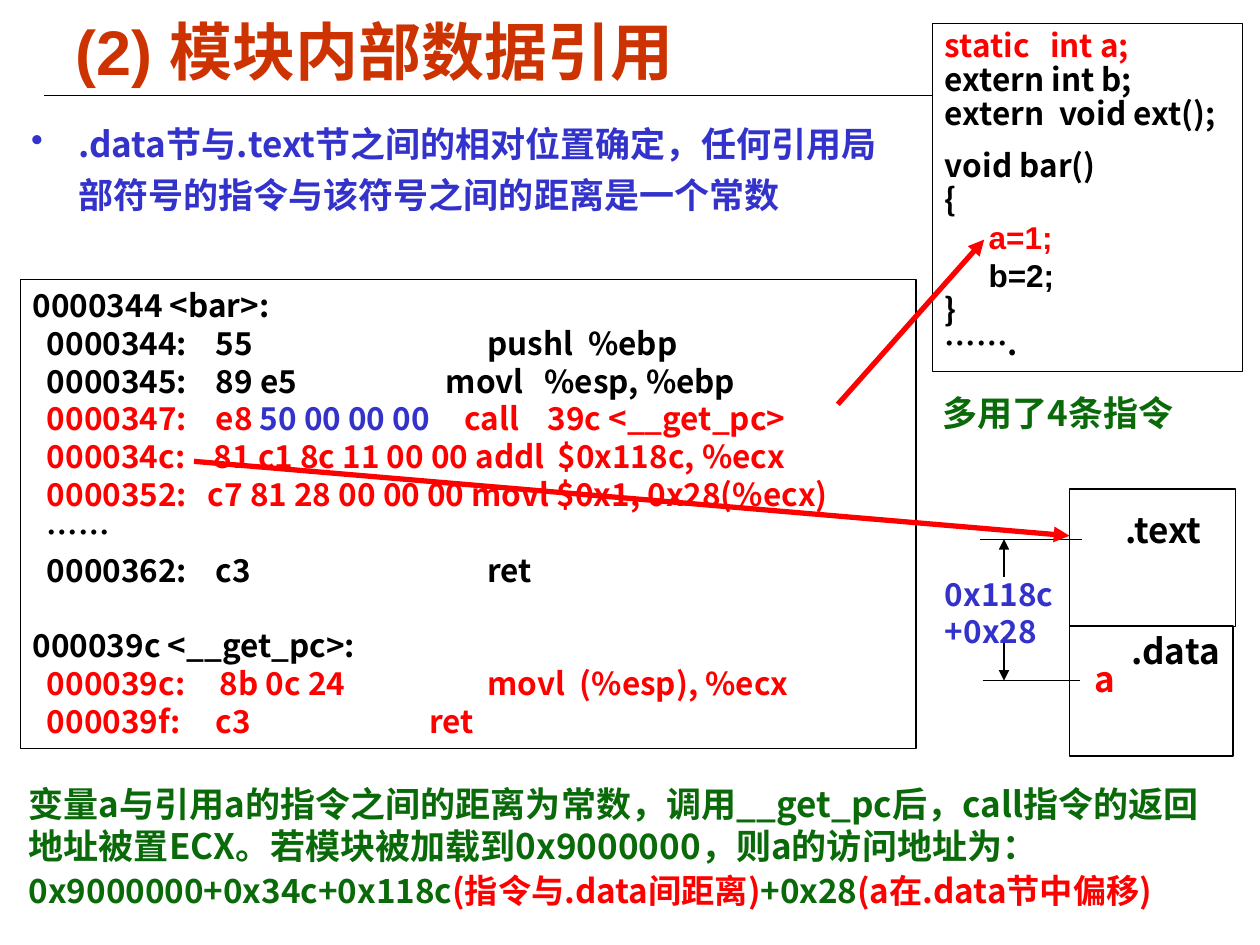
from lxml import etree
from pptx import Presentation
from pptx.dml.color import RGBColor
from pptx.enum import shapes, text
from pptx.oxml import ns
from pptx.util import Cm, Pt

BLACK = RGBColor(0, 0, 0)
WHITE = RGBColor(255, 255, 255)
RED = RGBColor(255, 0, 0)
BLUE = RGBColor(0x33, 0x33, 0xCC)
GREEN = RGBColor(0x0A, 0x6A, 0x0A)
RUST = RGBColor(0xCC, 0x33, 0x00)
SANS = "Noto Sans CJK SC"
ARIAL = "Arial"


def add(node, tag, **attrs):
    """Append a DrawingML element to a node."""
    return etree.SubElement(node, ns.qn(tag), attrs)


def style(run, color, size, font):
    """Format one run in bold for Latin and Chinese text."""
    run.font.name = font
    run.font.size = Pt(size)
    run.font.bold = True
    run.font.color.rgb = color
    add(run.font._element, "a:ea", typeface=SANS)


def write(para, runs, size, font=SANS, stops=()):
    """Fill a paragraph with (words, color) runs and tab stops in cm."""
    if stops:
        tabs = add(para._p.get_or_add_pPr(), "a:tabLst")
        for stop in stops:
            add(tabs, "a:tab", pos=str(int(Cm(stop))), algn="l")
    para.alignment = text.PP_ALIGN.LEFT
    for words, color in runs:
        run = para.add_run()
        run.text = words
        style(run, color, size, font)


def paras(frame, count):
    """Return the given number of paragraphs of a frame."""
    return [frame.paragraphs[0]] + [frame.add_paragraph() for _ in range(count - 1)]


def label(slide, x, y, w, h, rows, size, font=SANS):
    """Place a wrapped text box with one list of runs per paragraph."""
    frame = slide.shapes.add_textbox(Cm(x), Cm(y), Cm(w), Cm(h)).text_frame
    frame.word_wrap = True
    for para, runs in zip(paras(frame, len(rows)), rows):
        write(para, runs, size, font)
    return frame


def panel(slide, x, y, w, h, fill=WHITE):
    """Place a thin black rectangle and return its text frame."""
    box = slide.shapes.add_shape(shapes.MSO_SHAPE.RECTANGLE, Cm(x), Cm(y), Cm(w), Cm(h))
    box.shadow.inherit = False
    if fill is None:
        box.fill.background()
    else:
        box.fill.solid()
        box.fill.fore_color.rgb = fill
    box.line.color.rgb = BLACK
    box.line.width = Pt(0.75)
    frame = box.text_frame
    frame.word_wrap = True
    frame.vertical_anchor = text.MSO_ANCHOR.TOP
    return frame


def line(slide, x1, y1, x2, y2, color=BLACK, width=0.75, arrow=False):
    """Draw a straight line, with an arrowhead at its end if asked."""
    link = slide.shapes.add_connector(
        shapes.MSO_CONNECTOR.STRAIGHT, Cm(x1), Cm(y1), Cm(x2), Cm(y2))
    link.line.color.rgb = color
    link.line.width = Pt(width)
    if arrow:
        add(link.line._get_or_add_ln(), "a:tailEnd", type="triangle")
    add(link._element.spPr, "a:effectLst")


def header(slide, x, y, w, h):
    """Draw the title and its rule."""
    line(slide, x - 0.38, y + 1.7, x + w + 0.38, y + 1.7)
    frame = label(slide, x, y, w, h, [[("(2) 模块内部数据引用", RUST)]], 36, ARIAL)
    frame.vertical_anchor = text.MSO_ANCHOR.MIDDLE


def point(slide, x, y, w, h):
    """Draw the bulleted statement."""
    frame = label(slide, x, y, w, h, [], 20)
    para = frame.paragraphs[0]
    props = para._p.get_or_add_pPr()
    props.set("marL", str(int(Cm(0.95))))
    props.set("indent", str(int(Cm(-0.95))))
    add(props, "a:buChar", char="•")
    words = ".data节与.text节之间的相对位置确定，任何引用局部符号的指令与该符号之间的距离是一个常数"
    write(para, [(words, BLUE)], 20)
    para.line_spacing = 1.2


def source(slide, x, y, w, h):
    """Draw the C source panel."""
    rows = [
        ("static\tint a;", RED, SANS, [2.12]),
        ("extern int b;", BLACK, SANS, []),
        ("extern\tvoid ext();", BLACK, SANS, [2.3]),
        ("void bar()", BLACK, SANS, []),
        ("{", BLACK, SANS, []),
        ("     a=1;", RED, ARIAL, []),
        ("     b=2;", BLACK, ARIAL, []),
        ("}", BLACK, SANS, []),
        ("…….", BLACK, SANS, []),
    ]
    frame = panel(slide, x, y, w, h)
    for para, (words, color, font, stops) in zip(paras(frame, len(rows)), rows):
        write(para, [(words, color)], 18, font, stops)
        if font == SANS:
            para.line_spacing = 0.9
        if words.startswith("void"):
            para.space_before = Pt(10.5)


def listing(slide, x, y, w, h):
    """Draw the disassembly panel."""
    rows = [
        ([], [("0000344 <bar>:", BLACK)]),
        ([3.69, 9.17, 11.2], [("  0000344:\t55\tpushl\t%ebp", BLACK)]),
        ([3.69, 8.33, 10.32], [("  0000345:\t89 e5\tmovl\t%esp, %ebp", BLACK)]),
        ([3.69, 8.71, 10.38], [("  0000347:\te8 ", RED), ("50 00 00 00", BLUE),
                               ("\tcall\t39c <__get_pc>", RED)]),
        ([3.65, 10.58], [("  000034c:\t81 c1 8c 11 00 00 addl\t$0x118c, %ecx", RED)]),
        ([3.53], [("  0000352:\tc7 81 28 00 00 00 movl $0x1, 0x28(%ecx)", RED)]),
        ([], [("  ……", BLACK)]),
        ([3.69, 9.17], [("  0000362:\tc3\tret", BLACK)]),
        ([], [("000039c <__get_pc>:", BLACK)]),
        ([3.77, 9.17, 11.03], [("  000039c:\t8b 0c 24\tmovl\t(%esp), %ecx", RED)]),
        ([3.69, 8], [("  000039f:\tc3\tret", RED)]),
    ]
    frame = panel(slide, x, y, w, h, None)
    for para, (stops, runs) in zip(paras(frame, len(rows)), rows):
        write(para, runs, 18, SANS, stops)
        if runs[0][0].startswith("000039c"):
            para.space_before = Pt(21.5)


def summary(slide, x, y, w, h):
    """Draw the closing explanation with the address sum."""
    frame = label(slide, x, y, w, h, [], 20)
    frame.margin_left = frame.margin_right = 0
    first, last = paras(frame, 2)
    write(first, [("变量a与引用a的指令之间的距离为常数，调用__get_pc后，call指令的返回地址被置ECX。"
                   "若模块被加载到0x9000000，则a的访问地址为：", GREEN)], 20)
    write(last, [("0x9000000+0x34c+0x118c", GREEN), ("(指令与.data间距离)", RED),
                 ("+0x28", GREEN), ("(a在.data节中偏移)", RED)], 19)
    last.space_before = Pt(2)


def memory(slide, x, y):
    """Draw the section blocks and the distance between them."""
    panel(slide, x + 2.76, y, 3.35, 2.77)
    label(slide, x + 3.63, y + 0.27, 2.31, 1.09, [[(".text", BLACK)]], 20)
    panel(slide, x + 2.76, y + 2.76, 3.3, 2.62)
    label(slide, x + 3.76, y + 2.71, 2.31, 1.09, [[(".data", BLACK)]], 20)
    label(slide, x + 3.02, y + 3.27, 1.5, 1.09, [[("a", RED)]], 20)
    for left, right, start, end in ((0.96, 3.02, 1.77, 1.01), (1.01, 2.97, 2.99, 3.86)):
        line(slide, x + left, y + end, x + right, y + end)
        line(slide, x + 1.44, y + start, x + 1.44, y + end, arrow=True)
    label(slide, x, y + 1.6, 3.07, 1.78, [[("0x118c", BLUE)], [("+0x28", BLUE)]], 18)


def main():
    """Build the slide and save it."""
    deck = Presentation()
    deck.slide_width, deck.slide_height = Cm(25.4), Cm(19.05)
    slide = deck.slides.add_slide(deck.slide_layouts[6])
    header(slide, 1.27, 0.23, 22.86, 1.55)
    point(slide, 0.38, 2.18, 18.01, 3.07)
    source(slide, 18.8, 0.48, 6.25, 7.01)
    listing(slide, 0.41, 5.64, 18.06, 9.45)
    summary(slide, 0.58, 15.65, 24.16, 2.82)
    memory(slide, 18.8, 9.86)
    line(slide, 16.89, 8.15, 19.84, 4.83, RED, 3, True)
    label(slide, 18.75, 7.77, 5.31, 1.09, [[("多用了4条指令", GREEN)]], 20)
    line(slide, 3.91, 9.3, 21.56, 10.8, RED, 3, True)
    deck.save("out.pptx")


if __name__ == "__main__":
    main()
